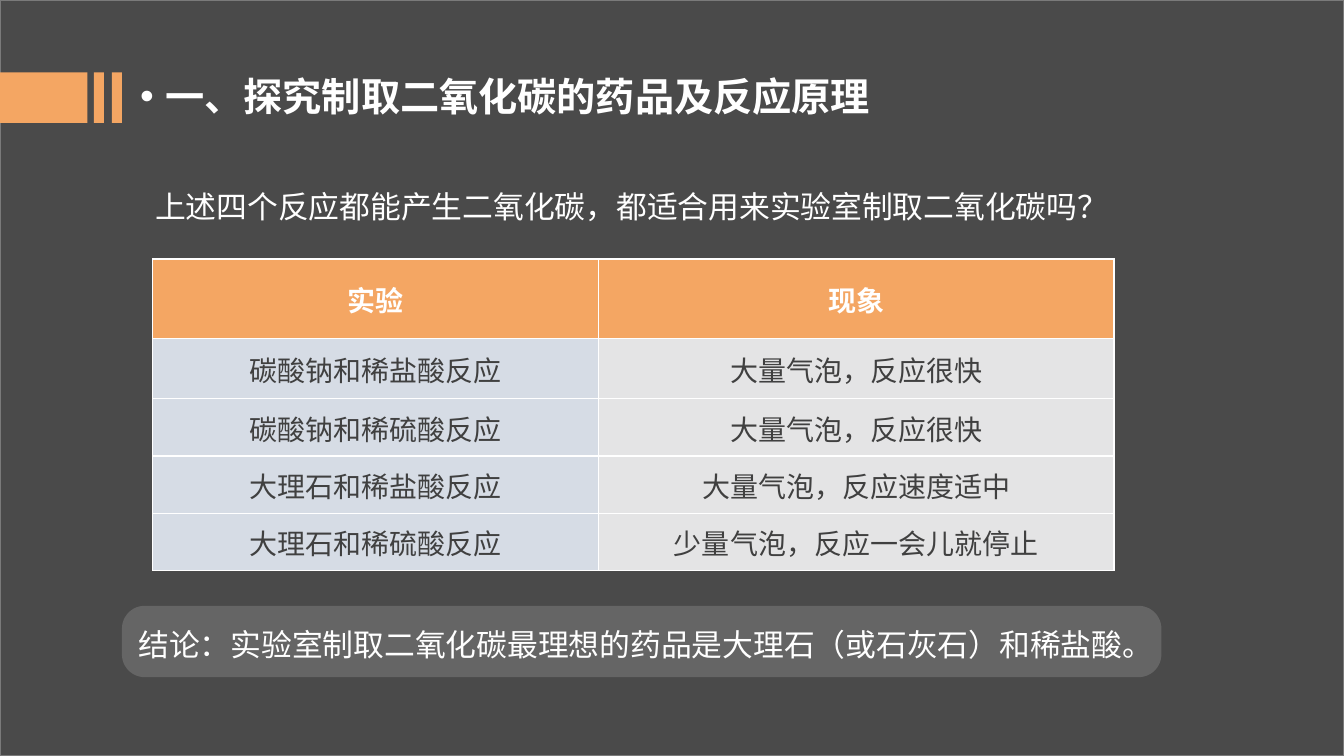
from lxml.etree import SubElement
from pptx import Presentation
from pptx.dml.color import RGBColor
from pptx.enum.shapes import MSO_SHAPE as Preset
from pptx.enum.text import MSO_ANCHOR as Anchor, MSO_AUTO_SIZE as AutoSize, PP_ALIGN as Align
from pptx.oxml.ns import qn
from pptx.util import Pt

FONT = "Noto Sans CJK SC"
WHITE, ORANGE, DARK, FRAME = "FFFFFF", "F4A663", "4A4A4A", "7A7A7A"
BODY_TEXT, BLUE_GREY, LIGHT_GREY, MID_GREY = "404040", "D6DCE5", "E4E4E5", "A6A6A6"

HEADING = "一、探究制取二氧化碳的药品及反应原理"
QUESTION = "上述四个反应都能产生二氧化碳，都适合用来实验室制取二氧化碳吗？"
CONCLUSION = "结论：实验室制取二氧化碳最理想的药品是大理石（或石灰石）和稀盐酸。"
EXPERIMENTS = [
    ("实验", "现象"),
    ("碳酸钠和稀盐酸反应", "大量气泡，反应很快"),
    ("碳酸钠和稀硫酸反应", "大量气泡，反应很快"),
    ("大理石和稀盐酸反应", "大量气泡，反应速度适中"),
    ("大理石和稀硫酸反应", "少量气泡，反应一会儿就停止"),
]
COLUMN_WIDTHS = (318.5, 368)
ROW_HEIGHTS = (56.7, 43.2, 40.9, 40.9, 40.9)


def paint(fill, color):
    fill.solid()
    fill.fore_color.rgb = RGBColor.from_string(color)


def set_all(target, **values):
    for name, value in values.items():
        setattr(target, name, value)


def place(shape, left, top, width, height):
    set_all(shape, left=Pt(left), top=Pt(top), width=Pt(width), height=Pt(height))


def write(frame, text, size, color=WHITE, bold=False, **paragraph_format):
    """Fill a text frame with one formatted paragraph."""
    paragraph = frame.paragraphs[0]
    set_all(paragraph, **paragraph_format)
    run = paragraph.add_run()
    run.text = text
    set_all(run.font, name=FONT, size=Pt(size), bold=bold)
    paint(run.font.fill, color)
    SubElement(run.font._element, qn("a:ea"), typeface=FONT)
    return paragraph


def add_block(slide, preset, box, color=None):
    block = slide.shapes.add_shape(preset, *map(Pt, box))
    block.shadow.inherit = False
    if color:
        paint(block.fill, color)
        block.line.fill.background()
    else:
        block.fill.background()
    return block


def add_backdrop(slide):
    paint(slide.background.fill, DARK)
    frame = add_block(slide, Preset.RECTANGLE, (0, 0, 960, 540))
    paint(frame.line.fill, FRAME)
    frame.line.width = Pt(1)
    # Orange bars beside the heading
    for left, width in ((0, 62.5), (67, 7.2), (80, 7.2)):
        add_block(slide, Preset.RECTANGLE, (left, 51.8, width, 36), ORANGE)


def add_heading(slide):
    heading = slide.shapes.title
    place(heading, 92.9, 51.8, 623.5, 50.4)
    set_all(heading.text_frame, word_wrap=True, auto_size=AutoSize.NONE,
            vertical_anchor=Anchor.TOP)
    paragraph = write(heading.text_frame, HEADING, 28, bold=True, alignment=Align.LEFT,
                      line_spacing=0.9, space_before=Pt(10))
    # Hanging bullet
    properties = paragraph._p.get_or_add_pPr()
    properties.set("marL", str(Pt(18)))
    properties.set("indent", str(Pt(-18)))
    SubElement(properties, qn("a:buFont"), typeface="Arial")
    SubElement(properties, qn("a:buChar"), char="•")


def add_question(slide):
    question = slide.shapes.add_textbox(Pt(103.7), Pt(117.4), Pt(710), Pt(42.5))
    question.text_frame.word_wrap = True
    write(question.text_frame, QUESTION, 22, line_spacing=1.5)


def add_borders(cell):
    properties = cell._tc.get_or_add_tcPr()
    for side in ("lnL", "lnR", "lnT", "lnB"):
        border = SubElement(properties, qn(f"a:{side}"), w=str(Pt(1)))
        fill = SubElement(border, qn("a:solidFill"))
        SubElement(fill, qn("a:srgbClr"), val=WHITE)


def add_experiments(slide):
    table = slide.shapes.add_table(
        len(EXPERIMENTS), len(COLUMN_WIDTHS), Pt(109.2), Pt(185),
        Pt(sum(COLUMN_WIDTHS)), Pt(sum(ROW_HEIGHTS))).table
    for column, width in zip(table.columns, COLUMN_WIDTHS):
        column.width = Pt(width)
    for row, height in zip(table.rows, ROW_HEIGHTS):
        row.height = Pt(height)
    for r, entries in enumerate(EXPERIMENTS):
        is_header = r == 0
        for c, entry in enumerate(entries):
            cell = table.cell(r, c)
            add_borders(cell)
            paint(cell.fill, ORANGE if is_header else (BLUE_GREY, LIGHT_GREY)[c])
            set_all(cell, vertical_anchor=Anchor.MIDDLE, margin_left=Pt(0.7),
                    margin_right=Pt(0.7), margin_top=Pt(0.7), margin_bottom=0)
            write(cell.text_frame, entry, 20, WHITE if is_header else BODY_TEXT,
                  is_header, alignment=Align.CENTER)


def add_conclusion(slide):
    panel = add_block(slide, Preset.ROUNDED_RECTANGLE, (87.1, 432.7, 742.5, 51), MID_GREY)
    panel.adjustments[0] = 0.32
    # Translucent fill
    tint = panel.fill._xPr.find(qn("a:solidFill"))[0]
    SubElement(tint, qn("a:alpha"), val="30000")
    set_all(panel.text_frame, word_wrap=True, vertical_anchor=Anchor.TOP,
            margin_left=Pt(7.2), margin_right=Pt(7.2),
            margin_top=Pt(3), margin_bottom=Pt(8.6))
    write(panel.text_frame, CONCLUSION, 22, alignment=Align.LEFT, line_spacing=1.25)


def main():
    deck = Presentation()
    set_all(deck, slide_width=Pt(960), slide_height=Pt(540))
    slide = deck.slides.add_slide(deck.slide_layouts[5])
    add_backdrop(slide)
    add_heading(slide)
    add_question(slide)
    add_experiments(slide)
    add_conclusion(slide)
    deck.save("out.pptx")


if __name__ == "__main__":
    main()
